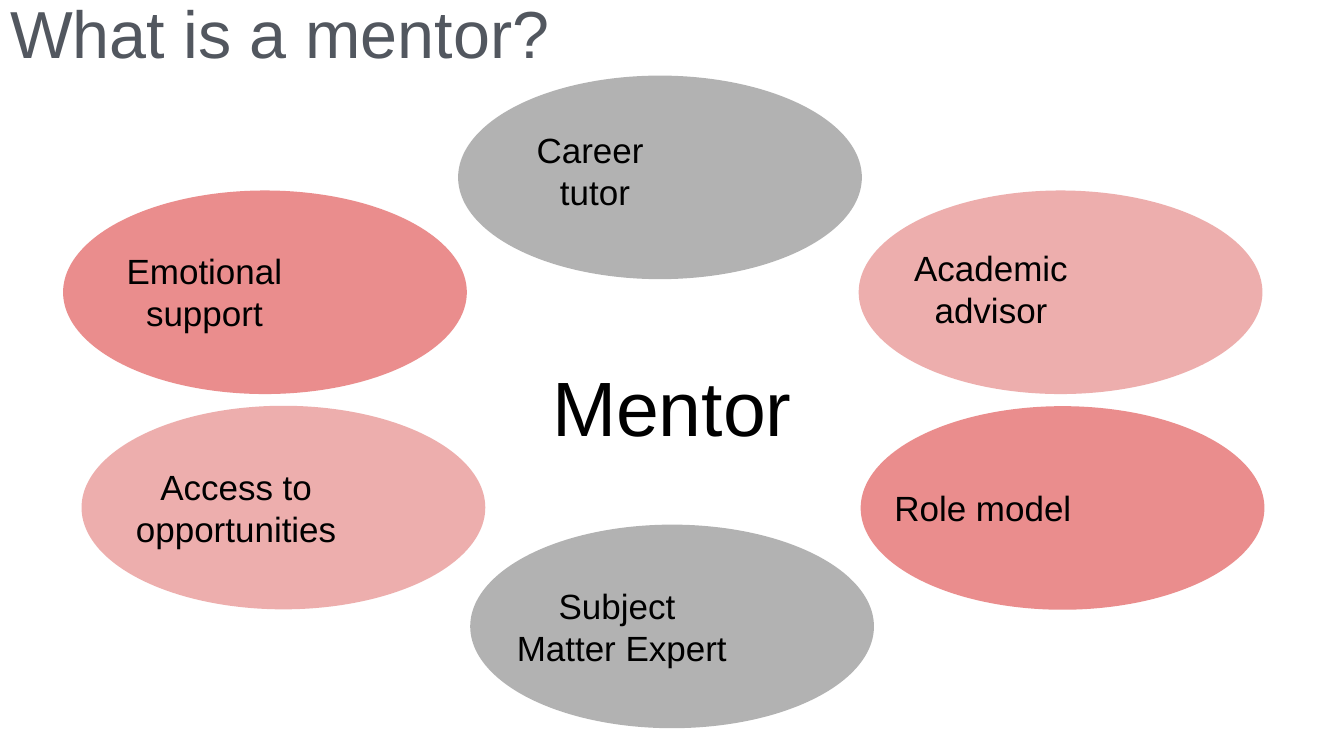
from lxml.etree import SubElement
from pptx import Presentation
from pptx.dml.color import RGBColor as Rgb
from pptx.enum.shapes import MSO_SHAPE as Kind
from pptx.enum.text import MSO_ANCHOR as Anchor, PP_ALIGN as Align
from pptx.oxml.ns import qn
from pptx.util import Cm, Pt

OVAL = (20.35, 10.26)
RED, PINK, GREY = "E36867", "E79492", "999999"
# words, colour, oval corner, label box relative to the oval
ROLES = [
    (["Emotional support"], RED, (3.18, 9.6), (0.71, 1.9, 12.83, 6.43)),
    (["Access to opportunities"], PINK, (4.11, 20.45), (0.81, 0.46, 13.97, 9.32)),
    (["Subject ", "Matter Expert"], GREY, (23.7, 26.44), (0.84, 2.24, 13.61, 5.82)),
    (["Role model"], RED, (43.38, 20.47), (0.43, 1.52, 11.46, 7.21)),
    (["Academic advisor"], PINK, (43.28, 9.6), (0.94, 2.01, 11.46, 5.87)),
    (["Career ", "tutor"], GREY, (23.09, 3.81), (1.02, 1.85, 11.76, 5.87)),
]


def paint(color, value):
    color.rgb = Rgb.from_string(value)


def add_text(shapes, box, lines, size, color="000000", inset=0.69,
             anchor=Anchor.MIDDLE, align=Align.CENTER, spacing=1.0):
    frame = shapes.add_textbox(*map(Cm, box)).text_frame
    style = {"word_wrap": True, "vertical_anchor": anchor}
    style |= {f"margin_{side}": Cm(inset) for side in ("left", "top", "right", "bottom")}
    for name, value in style.items():
        setattr(frame, name, value)
    frame.text = "\n".join(lines)
    for para in frame.paragraphs:
        para.alignment, para.line_spacing = align, spacing
        for name, value in {"name": "Arial", "size": Pt(size)}.items():
            setattr(para.font, name, value)
        paint(para.font.color, color)


def add_role(slide, lines, color, corner, label):
    shapes = slide.shapes.add_group_shape().shapes
    oval = shapes.add_shape(Kind.OVAL, *map(Cm, corner + OVAL))
    oval.shadow.inherit = False
    oval.line.fill.background()
    oval.fill.solid()
    paint(oval.fill.fore_color, color)
    tint = oval.fill._xPr.find(".//" + qn("a:srgbClr"))
    SubElement(tint, qn("a:alpha"), val="75000")
    left, top = corner
    x, y, width, height = label
    add_text(shapes, (left + x, top + y, width, height), lines, 50)


def main():
    deck = Presentation()
    deck.slide_width, deck.slide_height = Cm(67.74), Cm(38.1)
    slide = deck.slides.add_slide(deck.slide_layouts[6])
    add_text(slide.shapes, (0.36, -0.1, 61.04, 4.7), ["What is a mentor?"], 95,
             "52575F", 0.15, Anchor.TOP, Align.LEFT, 0.9)
    add_text(slide.shapes, (24.99, 16.51, 17.75, 7.21), ["Mentor"], 110, spacing=1.15)
    for role in ROLES:
        add_role(slide, *role)
    deck.save("out.pptx")


if __name__ == "__main__":
    main()
